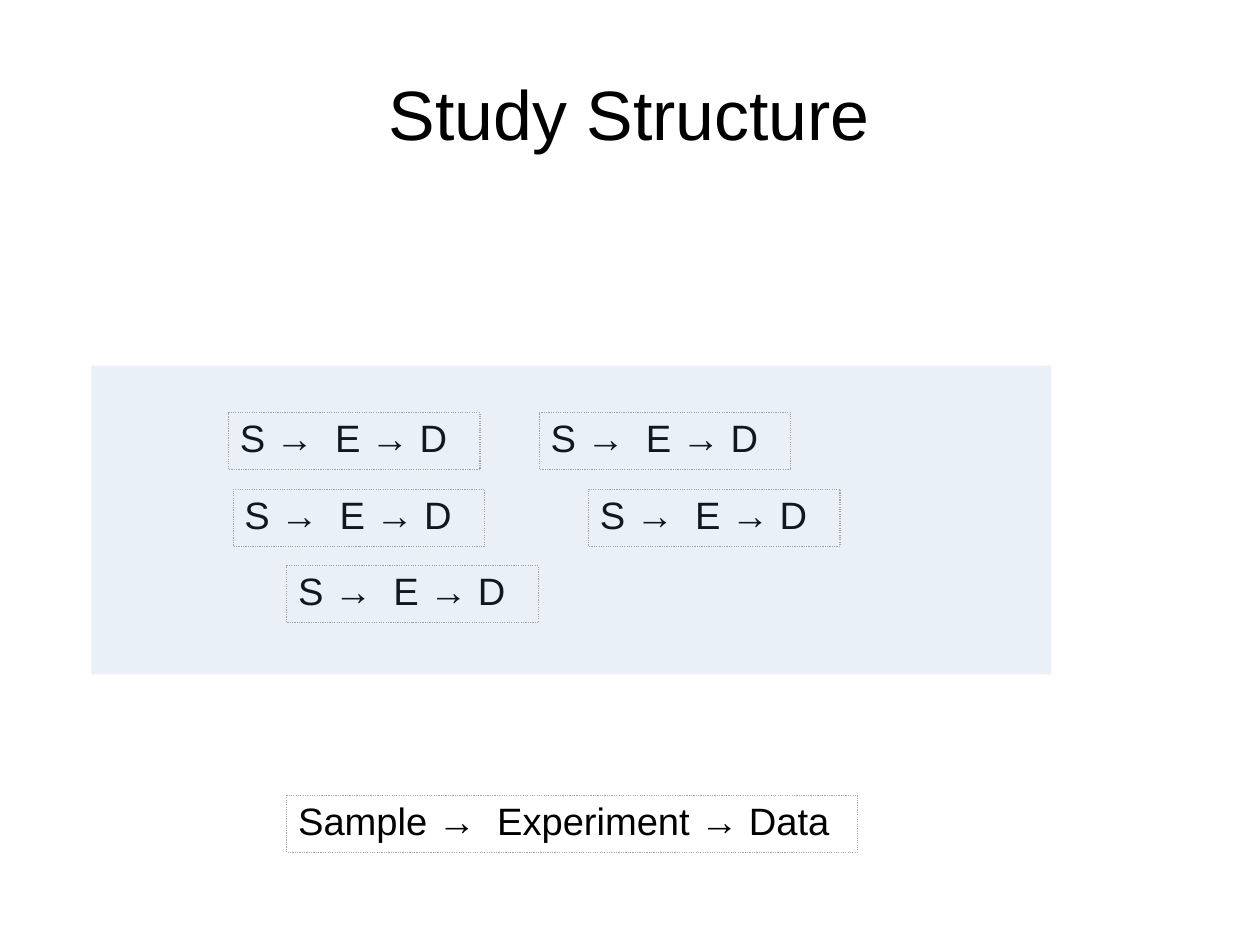
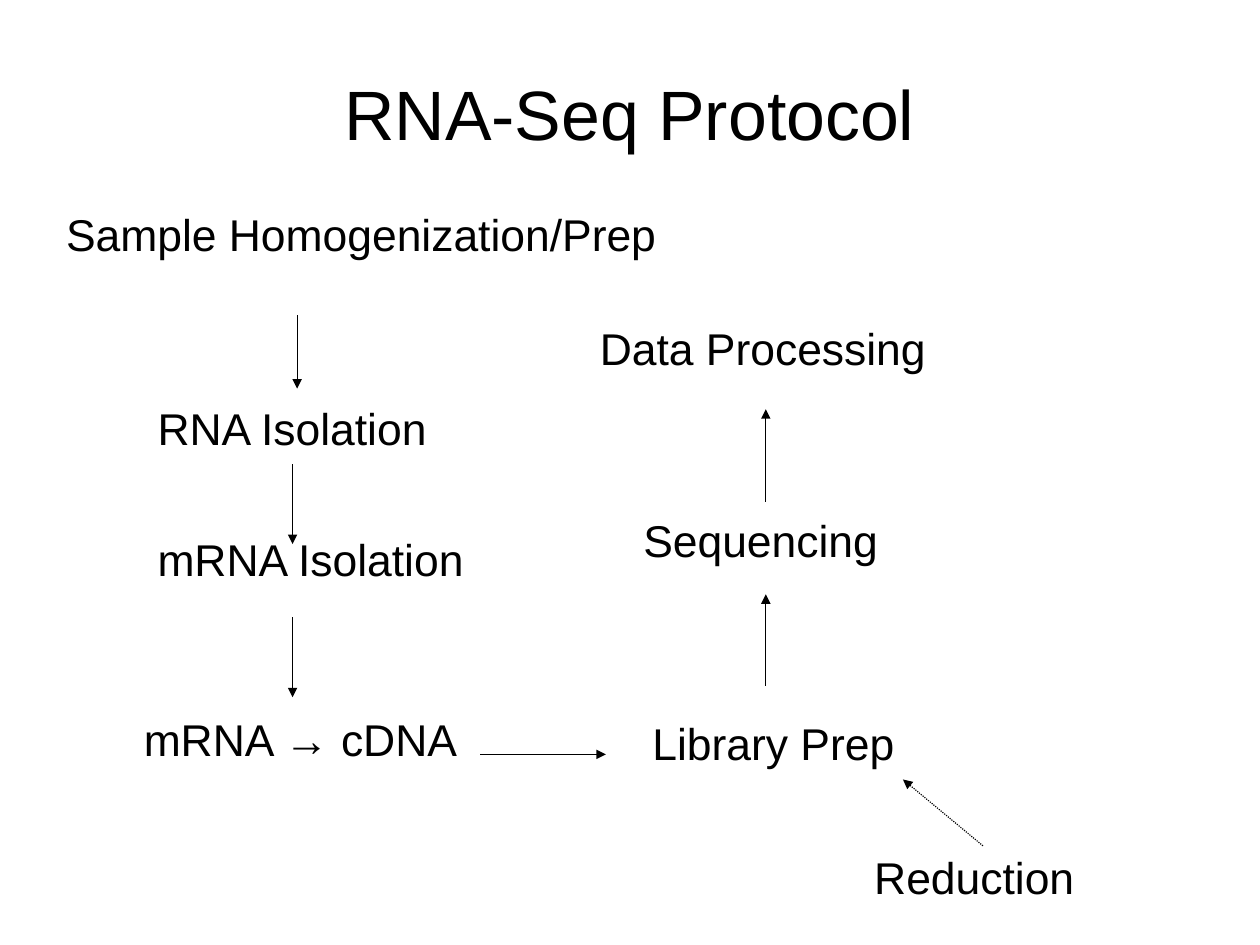
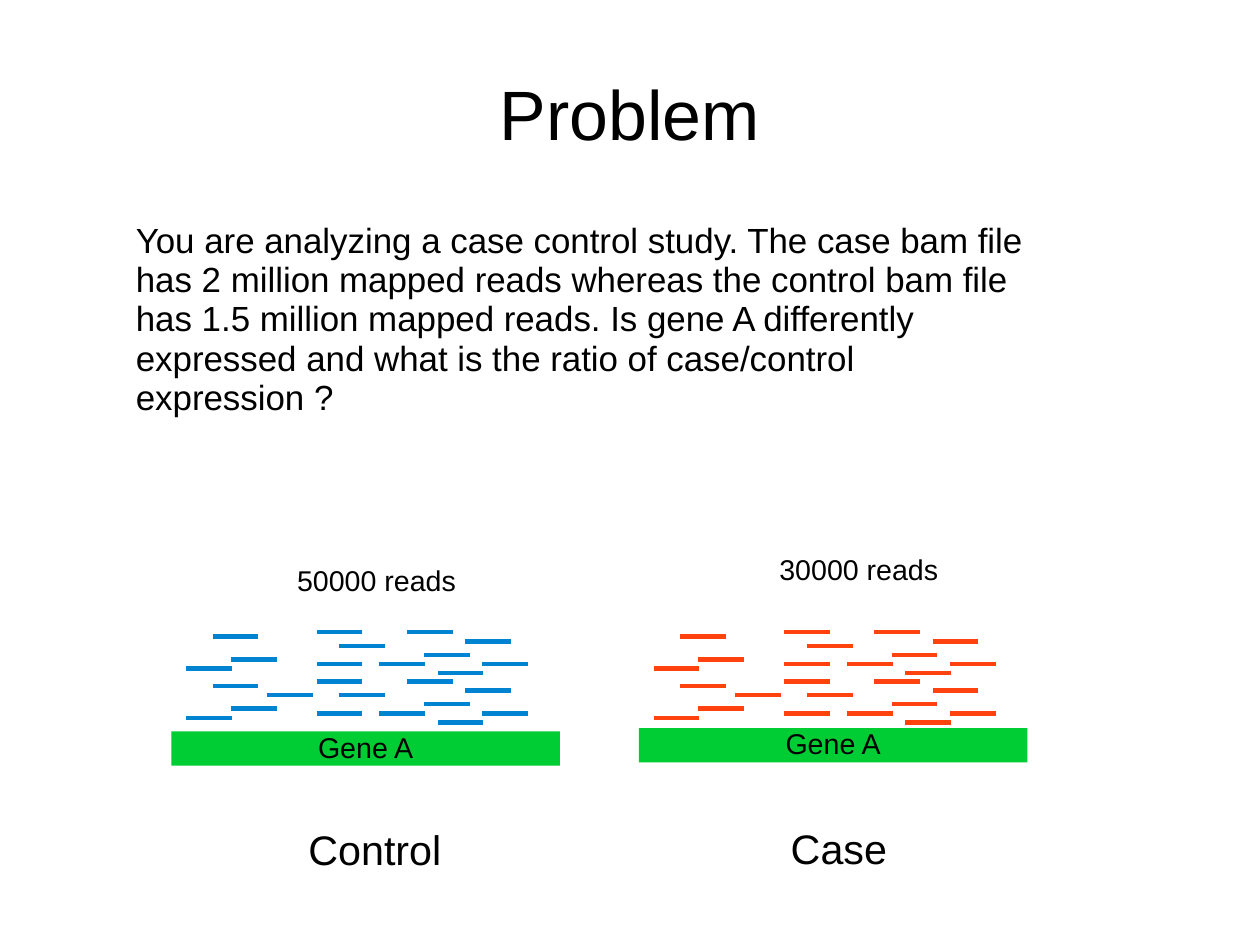
from lxml.etree import SubElement
from pptx import Presentation
from pptx.dml.color import RGBColor
from pptx.enum.dml import MSO_LINE
from pptx.enum.shapes import MSO_CONNECTOR, MSO_SHAPE
from pptx.enum.text import MSO_ANCHOR, MSO_AUTO_SIZE, PP_ALIGN
from pptx.oxml.ns import qn
from pptx.util import Cm, Inches, Pt

FONT = "Arial"
COLOURS = {
    "text": "000000",
    "border": "AEA79F",
    "study": "729FCF",
    "gene": "00CC33",
    "control": "0084D1",
    "case": "FF420E",
}
READ_LENGTH = 0.4
READ_ROW_STEP = 0.43
READ_OFFSETS = [
    (0.13, 0.32), (0.36, 0.04), (0.52, 0.24), (1.27, 0), (1.27, 0.28),
    (1.47, 0.12), (1.82, 0.28), (2.06, 0), (2.21, 0.2), (2.33, 0.36),
    (2.57, 0.08), (2.72, 0.28),
]
SINGLE_READ = (0.84, 0.55)


def colour(name):
    """Return the named colour."""
    return RGBColor.from_string(COLOURS[name])


def write(shape, text, size, align=PP_ALIGN.LEFT, anchor=MSO_ANCHOR.TOP, wrap=True):
    """Write one paragraph in the style of the deck."""
    frame = shape.text_frame
    frame.text = text
    frame.word_wrap = wrap
    frame.auto_size = MSO_AUTO_SIZE.NONE
    frame.vertical_anchor = anchor
    para = frame.paragraphs[0]
    para.alignment = align
    para.line_spacing = 0.94
    para.font.name = FONT
    para.font.size = Pt(size)
    para.font.color.rgb = colour("text")
    return frame


def add_page(deck, title):
    """Add a page with its title."""
    page = deck.slides.add_slide(deck.slide_layouts[5])
    box = page.shapes.title
    box.left, box.top = Inches(0.55), Inches(0.33)
    box.width, box.height = Inches(9.92), Inches(1.38)
    frame = write(box, title, 44, PP_ALIGN.CENTER, MSO_ANCHOR.MIDDLE)
    frame.margin_left = frame.margin_right = 0
    frame.margin_top = frame.margin_bottom = 0
    return page


def add_label(page, text, left, top, width, height, size, wrap=False):
    """Add a plain piece of text."""
    box = page.shapes.add_textbox(*map(Inches, (left, top, width, height)))
    write(box, text, size, wrap=wrap)


def add_box(page, left, top, width, height, fill=None):
    """Add a rectangle, filled or with a dotted border."""
    box = page.shapes.add_shape(
        MSO_SHAPE.RECTANGLE, *map(Inches, (left, top, width, height)))
    box.shadow.inherit = False
    if fill:
        box.fill.solid()
        box.fill.fore_color.rgb = colour(fill)
        box.line.fill.background()
    else:
        box.fill.background()
        box.line.color.rgb = colour("border")
        box.line.width = Pt(0.75)
        box.line.dash_style = MSO_LINE.ROUND_DOT
    return box


def add_line(page, start, end, name="text", width=0.75, dotted=False, arrow=False):
    """Add a straight line or arrow."""
    line = page.shapes.add_connector(
        MSO_CONNECTOR.STRAIGHT, *map(Inches, (*start, *end)))
    line.line.color.rgb = colour(name)
    line.line.width = Pt(width)
    if dotted:
        line.line.dash_style = MSO_LINE.ROUND_DOT
    properties = line._element.spPr
    if arrow:
        SubElement(properties.find(qn("a:ln")), qn("a:tailEnd"), type="triangle")
    SubElement(properties, qn("a:effectLst"))


def add_chain(page, text, left, top, width):
    """Add a bordered chain of steps."""
    write(add_box(page, left, top, width, 0.5), text, 24)


def add_study(page, left, top):
    """Add the study panel over its short chains."""
    rows = [(1.2, 3.92), (1.24, 4.35), (1.71,)]
    for number, offsets in enumerate(rows):
        for offset in offsets:
            add_chain(page, "S →  E → D", left + offset, top + 0.41 + 0.67 * number, 2.2)
    panel = add_box(page, left, top, 8.4, 2.7, "study")
    tint = panel._element.spPr.find(".//" + qn("a:srgbClr"))
    SubElement(tint, qn("a:alpha"), val="15000")


def add_protocol(page):
    """Add the protocol steps and the arrows between them."""
    steps = [
        ("Sample Homogenization/Prep", 0.48, 1.8, 5.37),
        ("RNA Isolation", 1.28, 3.5, 2.55),
        ("mRNA Isolation", 1.28, 4.64, 2.88),
        ("mRNA → cDNA", 1.16, 6.22, 2.93),
        ("Library Prep", 5.61, 6.25, 2.32),
        ("Reduction", 7.55, 7.43, 1.95),
        ("Sequencing", 5.53, 4.48, 2.25),
        ("Data Processing", 5.15, 2.8, 3.05),
    ]
    for text, left, top, width in steps:
        add_label(page, text, left, top, width, 0.57, 28)
    arrows = [
        ((2.6, 2.76), (2.6, 3.4)),
        ((2.56, 4.06), (2.56, 4.76)),
        ((2.56, 5.4), (2.56, 6.1)),
        ((4.2, 6.6), (5.3, 6.6)),
        ((6.7, 6), (6.7, 5.2)),
        ((6.7, 4.39), (6.7, 3.58)),
    ]
    for start, end in arrows:
        add_line(page, start, end, arrow=True)
    add_line(page, (8.6, 7.4), (7.9, 6.82), dotted=True, arrow=True)


def add_reads(page, left, top, name):
    """Add two rows of reads and the single read between them."""
    rows = [(x, y + row * READ_ROW_STEP) for row in range(2) for x, y in READ_OFFSETS]
    for x, y in rows + [SINGLE_READ]:
        start = left + x, top + y
        add_line(page, start, (start[0] + READ_LENGTH, start[1]), name, 2.89)


def add_sample(page, left, gene_top, name, count, caption):
    """Add one group: read count, reads, gene bar and caption."""
    add_reads(page, left, 5.53, name)
    gene = add_box(page, left, gene_top, 3.4, 0.3, "gene")
    write(gene, "Gene A", 18, PP_ALIGN.CENTER, MSO_ANCHOR.MIDDLE, False)
    count_text, count_offset, count_top = count
    add_label(page, count_text, left + count_offset, count_top, 1.58, 0.4, 18)
    text, offset, top, width = caption
    add_label(page, text, left + offset, top, width, 0.53, 26)


def main():
    """Build and save the deck."""
    deck = Presentation()
    deck.slide_width, deck.slide_height = Cm(28), Cm(21)

    page = add_page(deck, "Study Structure")
    add_study(page, 0.8, 3.2)
    add_chain(page, "Sample →  Experiment → Data", 2.51, 6.96, 4.99)

    add_protocol(add_page(deck, "RNA-Seq Protocol"))

    page = add_page(deck, "Problem")
    question = (
        "You are analyzing a case control study. The case bam file has 2 million "
        "mapped reads whereas the control bam file has 1.5 million mapped reads. "
        "Is gene A differently expressed and what is the ratio of case/control "
        "expression ?")
    add_label(page, question, 1.09, 1.89, 8.01, 1.84, 22, wrap=True)
    add_sample(page, 1.5, 6.4, "control", ("50000 reads", 1, 4.9),
               ("Control", 1.1, 7.2, 1.36))
    add_sample(page, 5.59, 6.37, "case", ("30000 reads", 1.13, 4.8),
               ("Case", 1.23, 7.19, 1.04))

    deck.save("out.pptx")


if __name__ == "__main__":
    main()
